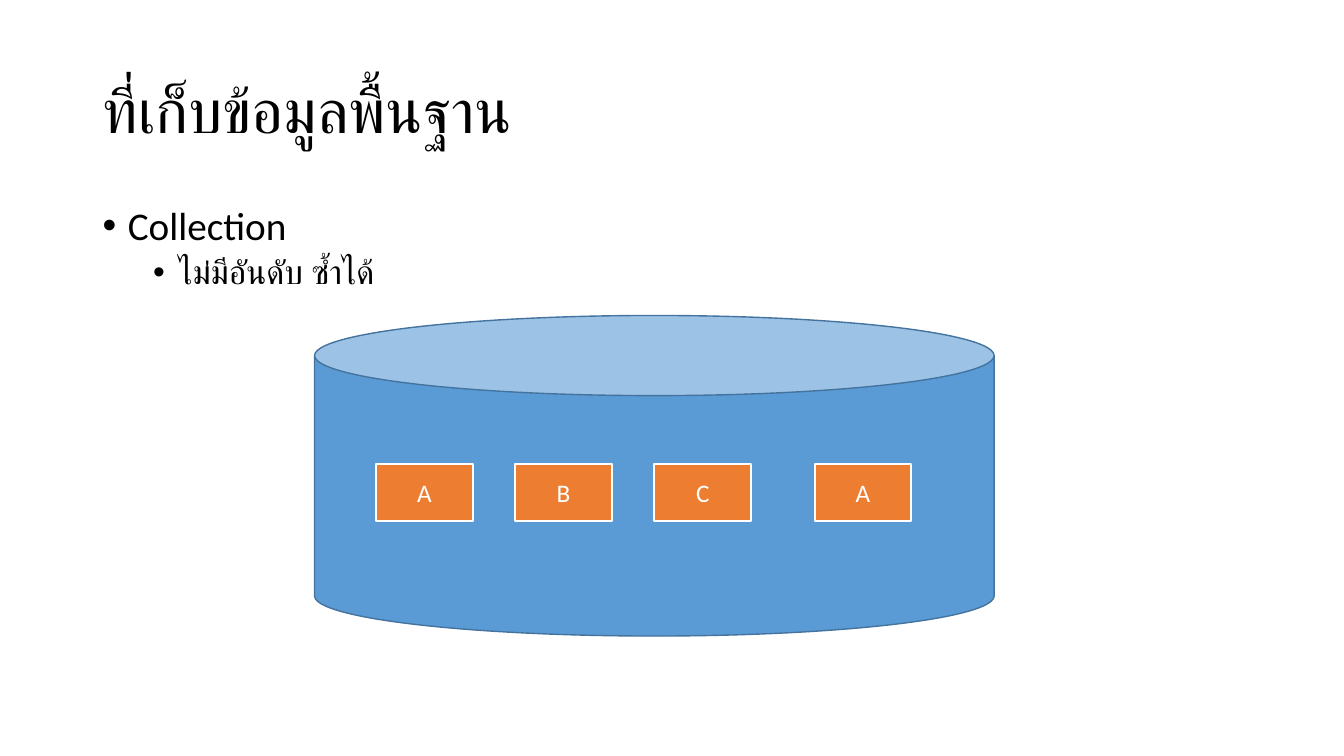
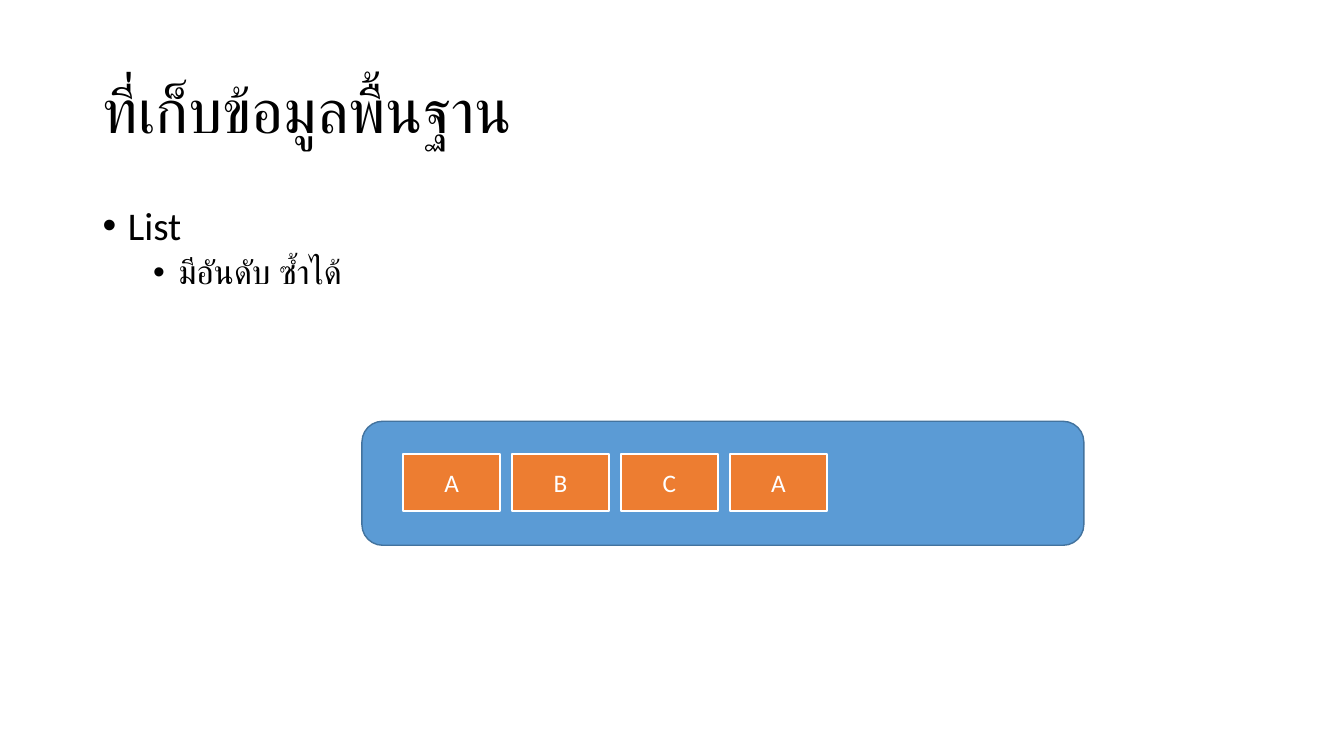
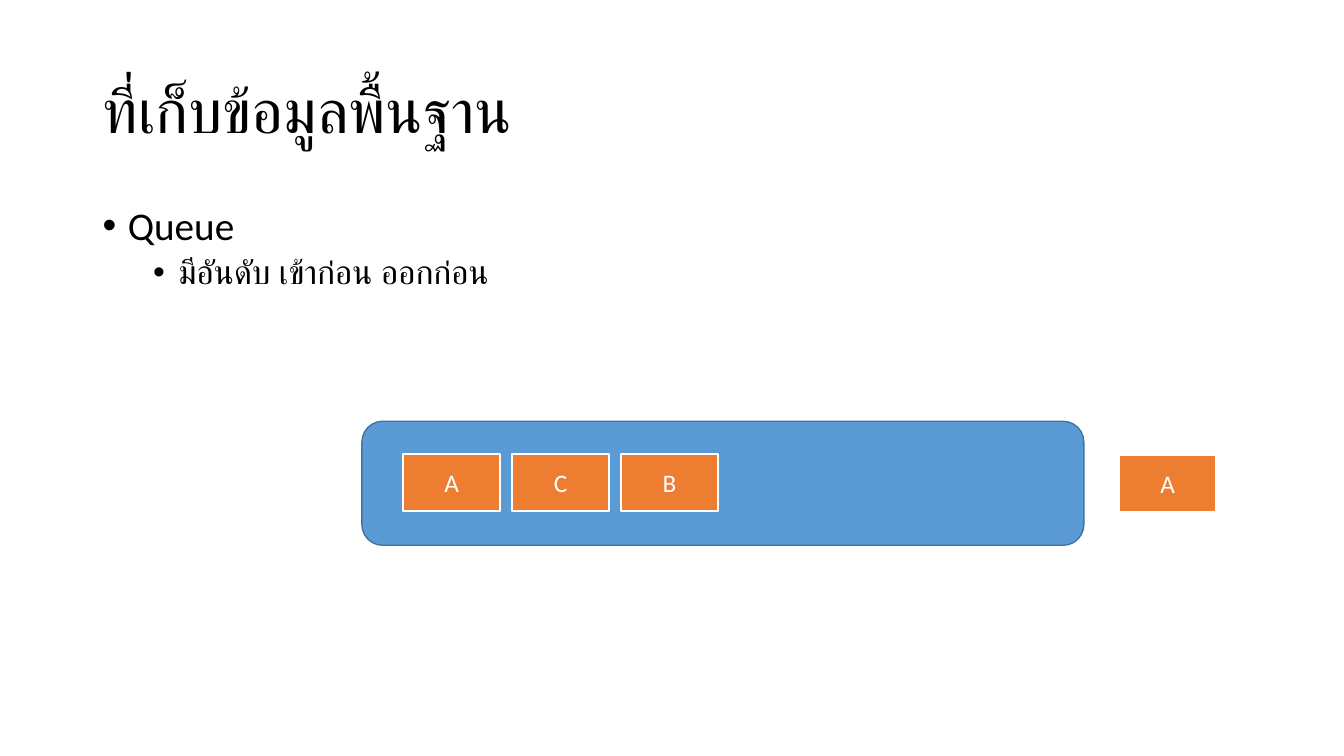
"""Build three slides on basic data containers: collection, list and queue."""
from dataclasses import dataclass

from lxml import etree
from pptx import Presentation
from pptx import util as u
from pptx.dml.color import RGBColor
from pptx.enum import lang, shapes, text
from pptx.oxml import ns

COLORS = {
    "ink": "000000",
    "paper": "FFFFFF",
    "container": "5B9BD5",
    "container_edge": "43739E",
    "item": "ED7D31",
}
FONT = "Calibri"
TITLE = "ที่เก็บข้อมูลพื้นฐาน"
MARGIN, CONTENT_WIDTH = 0.92, 11.5
ITEM_WIDTH, ITEM_HEIGHT = 0.96, 0.57
THAI = lang.MSO_LANGUAGE_ID.THAI


@dataclass(frozen=True)
class Container:
    """Preset shape and frame, in inches, of the container that holds items."""
    preset: shapes.MSO_SHAPE
    left: float
    top: float
    width: float
    height: float


@dataclass(frozen=True)
class Item:
    """Label and top-left corner, in inches, of one stored item."""
    label: str
    left: float
    top: float


@dataclass(frozen=True)
class Topic:
    """Content of one slide."""
    name: str
    detail: str
    container: Container
    items: tuple


def row(labels: str, left: float, top: float, pitch: float) -> tuple:
    """Place one item per letter at an equal pitch."""
    return tuple(Item(label, round(left + index * pitch, 2), top)
                 for index, label in enumerate(labels))


CAN = Container(shapes.MSO_SHAPE.CAN, 3.12, 3.13, 6.74, 3.18)
TRAY = Container(shapes.MSO_SHAPE.ROUNDED_RECTANGLE, 3.59, 4.18, 7.16, 1.23)

TOPICS = (
    Topic("Collection", "ไม่มีอันดับ ซ้ำได้", CAN,
          row("ABC", 3.73, 4.6, 1.38) + (Item("A", 8.08, 4.6),)),
    Topic("List", "มีอันดับ ซ้ำได้", TRAY, row("ABCA", 4, 4.5, 1.08)),
    Topic("Queue", "มีอันดับ เข้าก่อน ออกก่อน", TRAY,
          row("ACB", 4, 4.5, 1.08) + (Item("A", 11.1, 4.51),)),
)


def color(name: str) -> RGBColor:
    """Look up a palette colour."""
    return RGBColor.from_string(COLORS[name])


def add_bullet(para, indent: float) -> None:
    """Give a paragraph a round bullet with a hanging indent."""
    properties = para._p.get_or_add_pPr()
    properties.set("marL", str(u.Inches(indent)))
    properties.set("indent", str(u.Inches(-0.25)))
    font = etree.SubElement(properties, ns.qn("a:buFont"))
    font.set("typeface", "Arial")
    etree.SubElement(properties, ns.qn("a:buChar")).set("char", "•")


def write(para, wording: str, *, size: float, ink: str = "ink", align=None,
          spacing: float | None = None, before: float | None = None,
          indent: float | None = None, language=None) -> None:
    """Write formatted text into a paragraph."""
    if spacing is not None:
        para.line_spacing = spacing
    if before is not None:
        para.space_before = u.Pt(before)
    if align is not None:
        para.alignment = align
    if indent is not None:
        add_bullet(para, indent)
    span = para.add_run()
    span.text = wording
    span.font.name = FONT
    span.font.size = u.Pt(size)
    span.font.color.rgb = color(ink)
    if language is not None:
        span.font.language_id = language


def add_text_frame(page, top: float, height: float, anchor):
    """Add a wrapping text box across the content width."""
    box = page.shapes.add_textbox(u.Inches(MARGIN), u.Inches(top),
                                  u.Inches(CONTENT_WIDTH), u.Inches(height))
    box.text_frame.word_wrap = True
    box.text_frame.vertical_anchor = anchor
    return box.text_frame


def add_box(page, preset, left: float, top: float, width: float, height: float,
            *, fill: str, edge: str, weight: float):
    """Add a flat preset shape with a solid fill and outline."""
    box = page.shapes.add_shape(preset, u.Inches(left), u.Inches(top),
                                u.Inches(width), u.Inches(height))
    box.shadow.inherit = False
    box.fill.solid()
    box.fill.fore_color.rgb = color(fill)
    box.line.color.rgb = color(edge)
    box.line.width = u.Pt(weight)
    return box


def draw_container(page, container: Container) -> None:
    """Draw the container behind the items."""
    add_box(page, container.preset, container.left, container.top,
            container.width, container.height,
            fill="container", edge="container_edge", weight=1)


def draw_item(page, item: Item) -> None:
    """Draw one labelled item."""
    box = add_box(page, shapes.MSO_SHAPE.RECTANGLE, item.left, item.top,
                  ITEM_WIDTH, ITEM_HEIGHT, fill="item", edge="paper", weight=1.5)
    box.text_frame.vertical_anchor = text.MSO_ANCHOR.MIDDLE
    write(box.text_frame.paragraphs[0], item.label, size=18, ink="paper",
          align=text.PP_ALIGN.CENTER)


def draw_text(page, topic: Topic) -> None:
    """Draw the shared title and the topic's two bullet levels."""
    title = add_text_frame(page, 0.4, 1.45, text.MSO_ANCHOR.MIDDLE)
    write(title.paragraphs[0], TITLE, size=44, spacing=0.9, language=THAI)
    body = add_text_frame(page, 2, 4.76, text.MSO_ANCHOR.TOP)
    write(body.paragraphs[0], topic.name, size=28, spacing=0.9, indent=0.25)
    detail = body.add_paragraph()
    detail.level = 1
    write(detail, topic.detail, size=24, spacing=0.9, before=5, indent=0.75,
          language=THAI)


def main() -> None:
    """Build and save the deck."""
    deck = Presentation()
    deck.slide_width, deck.slide_height = u.Inches(13.33), u.Inches(7.5)
    for topic in TOPICS:
        page = deck.slides.add_slide(deck.slide_layouts[6])
        draw_text(page, topic)
        draw_container(page, topic.container)
        for item in topic.items:
            draw_item(page, item)
    deck.save("out.pptx")


if __name__ == "__main__":
    main()
